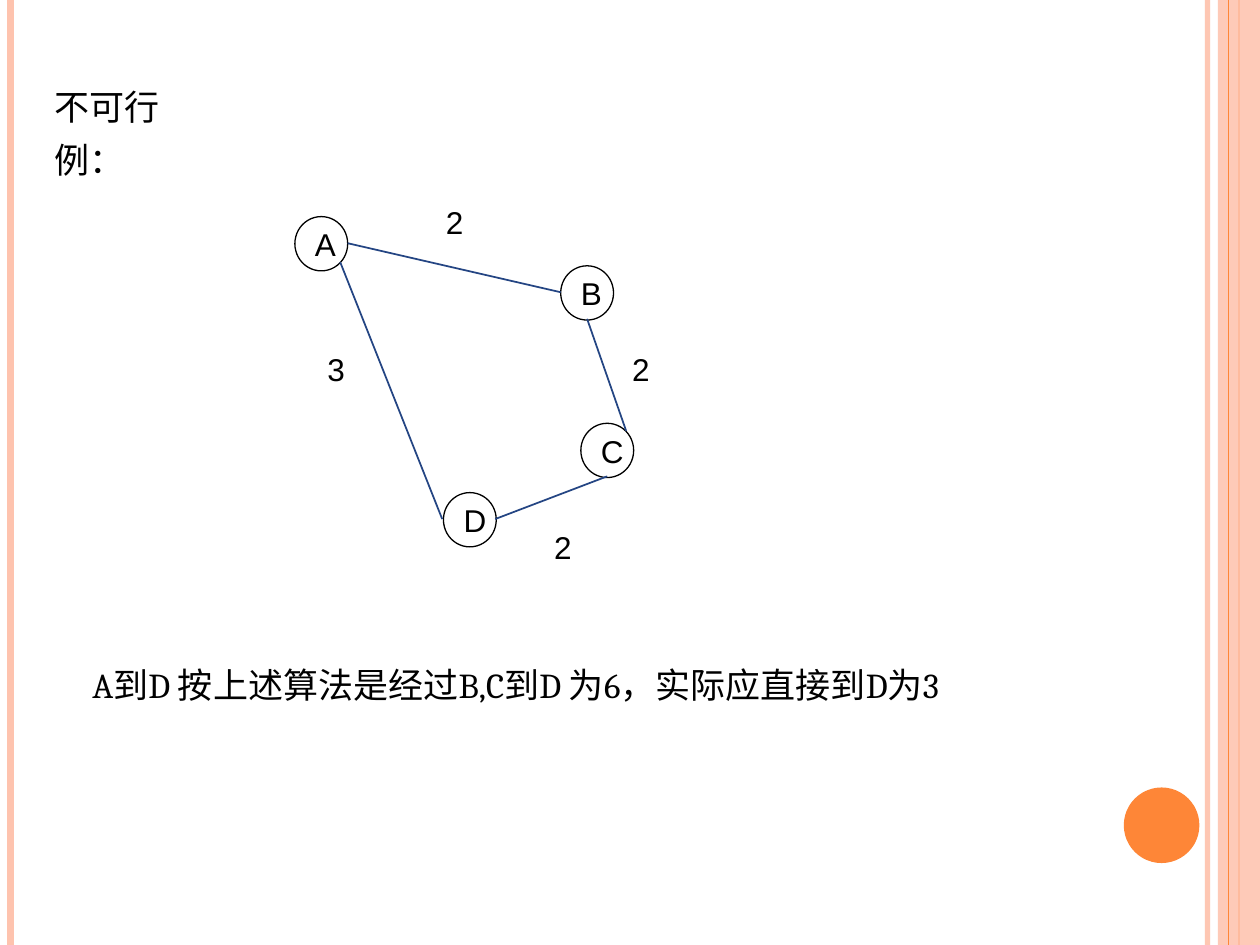
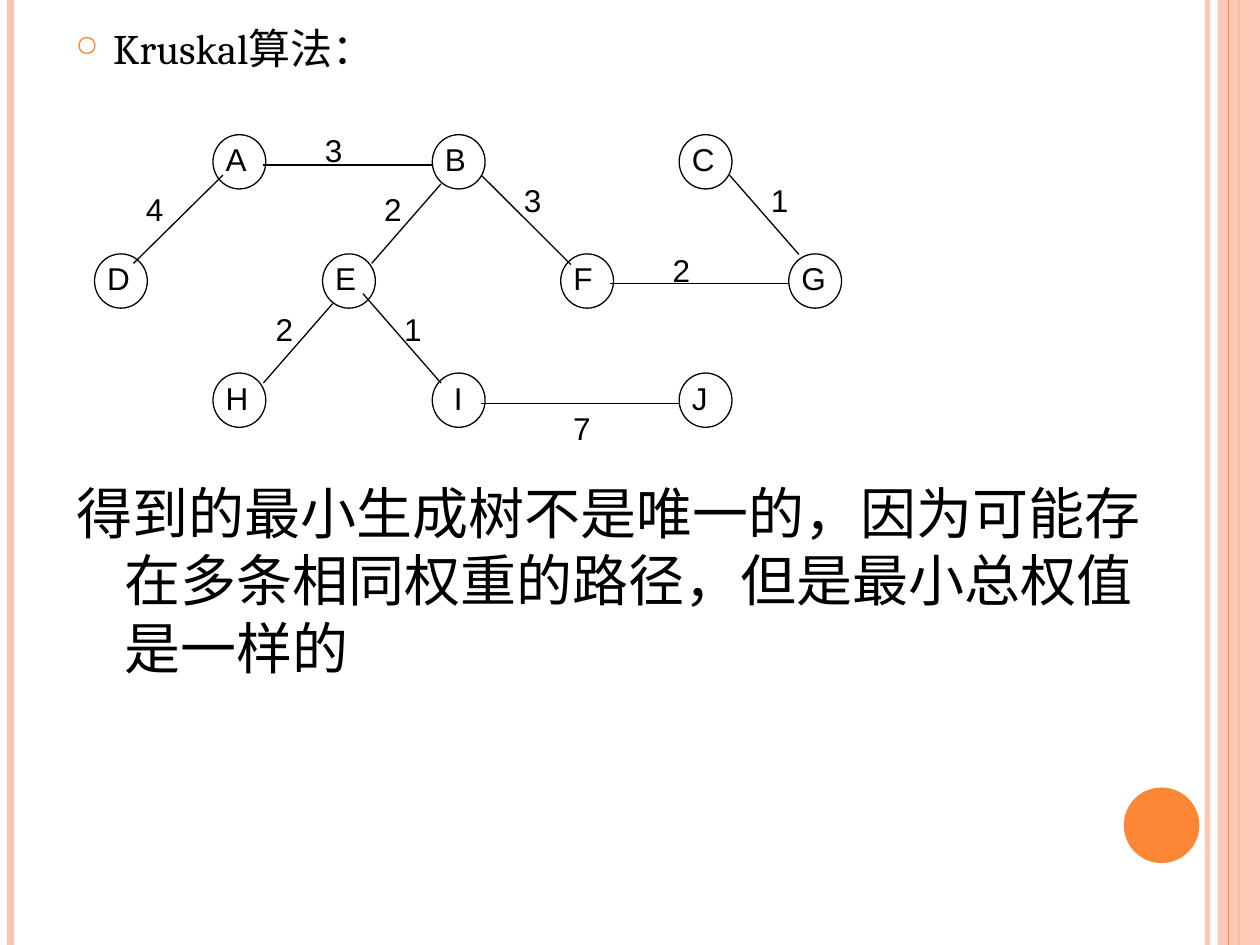
import dataclasses

import lxml.etree
import pptx
import pptx.dml.color
import pptx.enum.lang
import pptx.enum.shapes
import pptx.enum.text
import pptx.oxml.ns
import pptx.util

Pt = pptx.util.Pt
SHAPE = pptx.enum.shapes.MSO_SHAPE


@dataclasses.dataclass(frozen=True)
class Theme:
    orange: str = "FE8637"
    peach: str = "FEC3AE"
    blue: str = "244583"
    black: str = "000000"
    serif: str = "Cambria"
    sans: str = "Arial"
    label: int = 18
    body: int = 20
    heading: int = 24
    statement: int = 32
    width: int = 720
    height: int = 540
    node_width: float = 30.2
    node_height: float = 31


class GraphDeck:
    """Draws graph slides in one shared style."""

    def __init__(self, theme):
        self.theme = theme
        self.deck = pptx.Presentation()
        self.deck.slide_width = Pt(theme.width)
        self.deck.slide_height = Pt(theme.height)
        self.page = None

    def color(self, value):
        return pptx.dml.color.RGBColor.from_string(value)

    def child(self, parent, tag, **attributes):
        return lxml.etree.SubElement(parent, pptx.oxml.ns.qn(tag), attributes)

    def fade(self, fill, percent):
        element = fill._xPr.find(".//" + pptx.oxml.ns.qn("a:srgbClr"))
        self.child(element, "a:alpha", val=str(percent * 1000))

    def new_page(self):
        theme = self.theme
        self.page = self.deck.slides.add_slide(self.deck.slide_layouts[6])
        self.rule(690, theme.peach, 3, opacity=93)
        self.rule(6, theme.peach, 4.5)
        self.rule(708, theme.orange, 1.5)
        self.shape(SHAPE.RECTANGLE, 696, 0, 24, theme.height, theme.peach, opacity=87)
        self.rule(702, theme.orange, 0.75)
        self.shape(SHAPE.OVAL, 642.2, 450, 43.2, 43.2, theme.orange)

    def rule(self, left, color, weight, opacity=None):
        line = self.line((left, 0), (left, self.theme.height), color, weight)
        if opacity:
            self.fade(line.line.fill, opacity)

    def line(self, start, end, color, weight):
        line = self.page.shapes.add_connector(
            pptx.enum.shapes.MSO_CONNECTOR.STRAIGHT,
            *(Pt(value) for value in (*start, *end)))
        line.line.color.rgb = self.color(color)
        line.line.width = Pt(weight)
        self.child(line._element.spPr, "a:effectLst")
        return line

    def shape(self, kind, left, top, width, height, fill=None, opacity=None):
        shape = self.page.shapes.add_shape(
            kind, Pt(left), Pt(top), Pt(width), Pt(height))
        shape.shadow.inherit = False
        if fill:
            shape.fill.solid()
            shape.fill.fore_color.rgb = self.color(fill)
            shape.line.fill.background()
            if opacity:
                self.fade(shape.fill, opacity)
        else:
            shape.fill.background()
            shape.line.color.rgb = self.color(self.theme.black)
            shape.line.width = Pt(0.75)
        return shape

    def style(self, para, font, size):
        para.alignment = pptx.enum.text.PP_ALIGN.LEFT
        para.font.name = font
        para.font.size = Pt(size)
        para.font.color.rgb = self.color(self.theme.black)
        para.font.language_id = pptx.enum.lang.MSO_LANGUAGE_ID.SIMPLIFIED_CHINESE

    def node(self, letter, left, top, insets=(7.2, 3.6, 7.2, 3.6)):
        theme = self.theme
        node = self.shape(SHAPE.OVAL, left, top, theme.node_width, theme.node_height)
        frame = node.text_frame
        frame.word_wrap = False
        frame.vertical_anchor = pptx.enum.text.MSO_ANCHOR.MIDDLE
        (frame.margin_left, frame.margin_top,
         frame.margin_right, frame.margin_bottom) = map(Pt, insets)
        frame.text = letter
        self.style(frame.paragraphs[0], theme.sans, theme.label)

    def text(self, lines, left, top, width, height, font, size, hanging=0, bullet=None):
        box = self.page.shapes.add_textbox(Pt(left), Pt(top), Pt(width), Pt(height))
        frame = box.text_frame
        frame.word_wrap = True
        frame.text = "\n".join(lines)
        for index, para in enumerate(frame.paragraphs):
            if index:
                para.space_before = Pt(6)
            properties = para._p.get_or_add_pPr()
            if hanging:
                properties.set("marL", str(Pt(hanging)))
                properties.set("indent", str(-Pt(hanging)))
            if bullet:
                tint = self.child(properties, "a:buClr")
                self.child(tint, "a:srgbClr", val=self.theme.orange)
                self.child(properties, "a:buSzPct", val="70000")
                self.child(properties, "a:buChar", char=bullet)
            self.style(para, font, size)

    def edges(self, edges, color, weight):
        theme = self.theme
        for start, end, label, place in edges:
            self.line(start, end, color, weight)
            self.text([label], *place, 28, 28.8, theme.sans, theme.label)


def shortest_path_page(graph):
    theme = graph.theme
    graph.new_page()
    graph.text(["不可行", "例："], 24, 45.4, 672, 66, theme.serif, theme.body)
    for letter, left, top in (("A", 168.5, 123.8), ("B", 320.4, 151.9),
                              ("C", 331.9, 241.9), ("D", 253.4, 281.5)):
        graph.node(letter, left, top)
    graph.edges((
        ((198.7, 139), (320.4, 167), "2", (247.7, 112.3)),
        ((335.5, 182.2), (357.8, 246.2), "2", (354.2, 196.6)),
        ((283, 296.6), (347, 272.2), "2", (309.6, 298.1)),
        ((194.4, 149.8), (252.7, 296.6), "3", (180, 196.6)),
    ), theme.blue, 1)
    graph.text(["A到D 按上述算法是经过B,C到D 为6，实际应直接到D为3"],
               45.7, 375.8, 640, 34, theme.serif, theme.body)


def kruskal_page(graph):
    theme = graph.theme
    graph.new_page()
    graph.text(["Kruskal算法："], 36, 9.4, 648, 51, theme.serif, theme.heading,
               hanging=21.6, bullet="○")
    columns = (54, 121.7, 184.3, 247, 320.4, 388.1, 450.7)
    rows = (("A", 1), ("B", 3), ("C", 5)), \
        (("D", 0), ("E", 2), ("F", 4), ("G", 6)), \
        (("H", 1), ("I", 3), ("J", 5))
    for index, row in enumerate(rows):
        for letter, column in row:
            indent = 8 if letter == "I" else 2.8
            graph.node(letter, columns[column], 77 + 68.1 * index, (indent, 0, 0, 3))
    graph.edges((
        ((76.3, 150.5), (127.4, 100.1), "4", (76.3, 105.1)),
        ((150.5, 94.3), (247, 94.3), "3", (178.6, 71.3)),
        ((212.4, 150.5), (252, 105.1), "2", (212.4, 105.1)),
        ((275, 100.1), (326.2, 151.2), "3", (292.3, 100.1)),
        ((416.9, 100.1), (456.5, 145.4), "1", (433.4, 100.1)),
        ((348.5, 162), (450.7, 162), "2", (377.3, 139.7)),
        ((190.1, 173.5), (150.5, 218.9), "2", (150.5, 173.5)),
        ((207.4, 167.8), (252, 218.9), "1", (223.9, 173.5)),
        ((275, 230.4), (388.1, 230.4), "7", (320.4, 230.4)),
    ), theme.black, 0.75)
    graph.text(["得到的最小生成树不是唯一的，因为可能存在多条相同权重的路径，但是最小总权值是一样的"],
               36.7, 270, 648, 136, theme.sans, theme.statement, hanging=27.4)


def main():
    graph = GraphDeck(Theme())
    shortest_path_page(graph)
    kruskal_page(graph)
    graph.deck.save("out.pptx")


if __name__ == "__main__":
    main()
